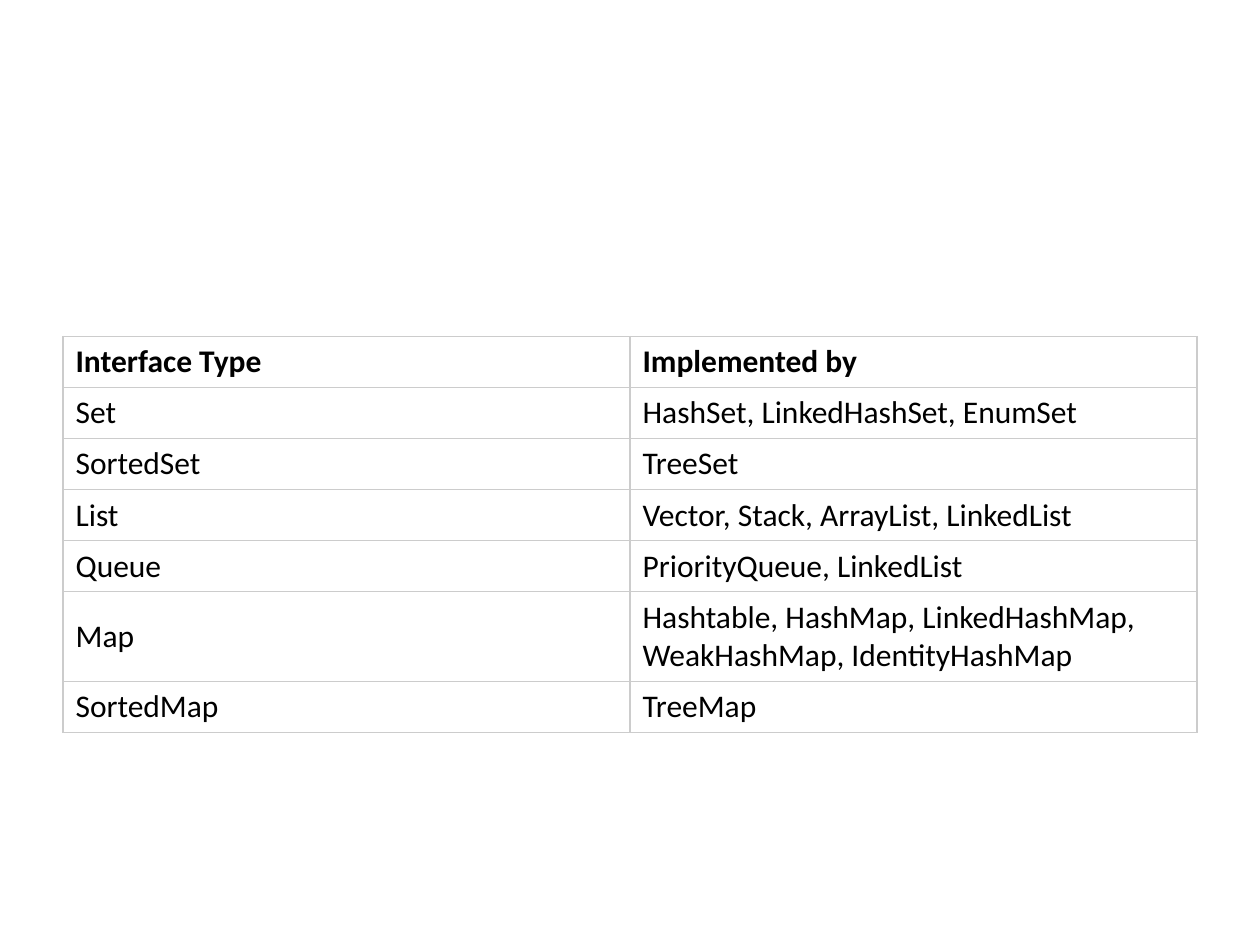
from dataclasses import dataclass

from lxml import etree
from pptx import Presentation
from pptx import util as u
from pptx.dml import color
from pptx.enum import text
from pptx.oxml import ns

BORDER_COLOR = "CCCCCC"
BORDER_WIDTH = u.Pt(0.75)
TEXT_FORMAT = {"name": "Calibri", "size": u.Pt(18)}


@dataclass
class InterfaceRow:
    interface: str
    implementations: str
    height: float = 0.4
    bold: bool = False


ROWS = [
    InterfaceRow("Interface Type", "Implemented by", bold=True),
    InterfaceRow("Set", "HashSet, LinkedHashSet, EnumSet"),
    InterfaceRow("SortedSet", "TreeSet"),
    InterfaceRow("List", "Vector, Stack, ArrayList, LinkedList"),
    InterfaceRow("Queue", "PriorityQueue, LinkedList"),
    InterfaceRow(
        "Map",
        "Hashtable, HashMap, LinkedHashMap, WeakHashMap, IdentityHashMap",
        height=0.7,
    ),
    InterfaceRow("SortedMap", "TreeMap"),
]


def set_color(target, value: str) -> None:
    target.rgb = color.RGBColor.from_string(value)


def add_borders(cell) -> None:
    properties = cell._tc.get_or_add_tcPr()
    for side in ("lnL", "lnR", "lnT", "lnB"):
        line = etree.SubElement(
            properties, ns.qn(f"a:{side}"), w=str(int(BORDER_WIDTH))
        )
        fill = etree.SubElement(line, ns.qn("a:solidFill"))
        etree.SubElement(fill, ns.qn("a:srgbClr"), val=BORDER_COLOR)


def fill_cell(cell, content: str, bold: bool) -> None:
    add_borders(cell)
    cell.fill.background()
    cell.vertical_anchor = text.MSO_ANCHOR.MIDDLE
    run = cell.text_frame.paragraphs[0].add_run()
    run.text = content
    for name, value in {**TEXT_FORMAT, "bold": bold}.items():
        setattr(run.font, name, value)
    set_color(run.font.color, "000000")


def add_interface_table(slide, rows: list[InterfaceRow]) -> None:
    height = sum(row.height for row in rows)
    table = slide.shapes.add_table(
        len(rows), 2, u.Inches(0.5), u.Inches(2.67), u.Inches(9), u.Inches(height)
    ).table
    table.horz_banding = False
    table.first_row = False
    for index, row in enumerate(rows):
        table.rows[index].height = u.Inches(row.height)
        for column, content in enumerate((row.interface, row.implementations)):
            fill_cell(table.cell(index, column), content, row.bold)


def main() -> None:
    presentation = Presentation()
    presentation.slide_width = u.Inches(10)
    presentation.slide_height = u.Inches(7.5)
    slide = presentation.slides.add_slide(presentation.slide_layouts[6])
    add_interface_table(slide, ROWS)
    presentation.save("out.pptx")


if __name__ == "__main__":
    main()
